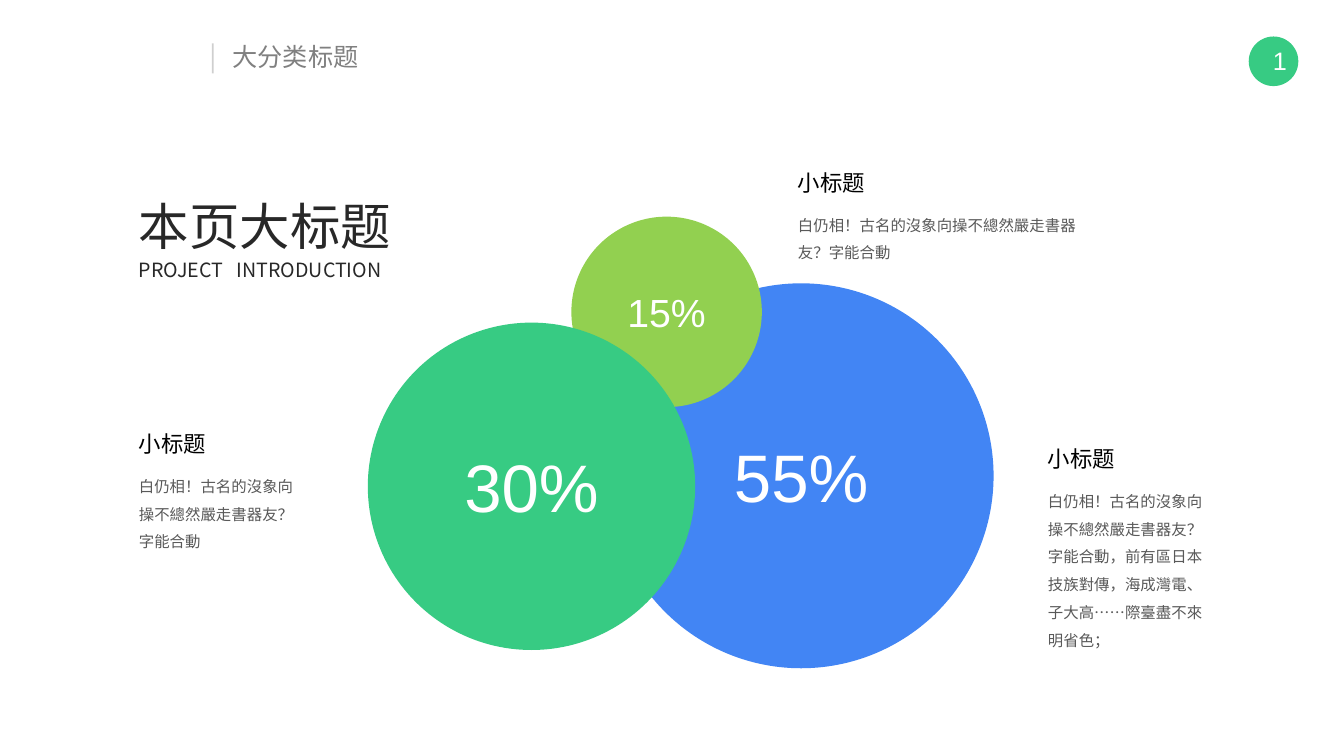
from pptx import Presentation
from pptx.dml.color import RGBColor
from pptx.enum.shapes import MSO_CONNECTOR as Link, MSO_SHAPE as Shape
from pptx.enum.text import MSO_ANCHOR as Anchor, PP_ALIGN as Align
from pptx.oxml.ns import qn
from pptx.util import Cm, Pt
from lxml.etree import SubElement

WHITE = RGBColor(0xFF, 0xFF, 0xFF)
BLACK = RGBColor(0x00, 0x00, 0x00)
INK = RGBColor(0x28, 0x28, 0x28)
BODY = RGBColor(0x59, 0x59, 0x59)
GRAY = RGBColor(0x80, 0x80, 0x80)
BLUE = RGBColor(0x42, 0x85, 0xF4)
LIME = RGBColor(0x92, 0xD0, 0x50)
GREEN = RGBColor(0x37, 0xCB, 0x83)
LATIN = "Arial"
HAN = "Noto Sans CJK SC"

deck = Presentation()
deck.slide_width, deck.slide_height = Cm(33.87), Cm(19.05)
slide = deck.slides.add_slide(deck.slide_layouts[6])
shapes = slide.shapes


def add_text(x, y, w, h, lines, color, font=HAN, align=Align.LEFT,
             space=None, pad=None, anchor=Anchor.TOP):
    """Add a text box; each line is a size and its list of runs."""
    frame = shapes.add_textbox(Cm(x), Cm(y), Cm(w), Cm(h)).text_frame
    frame.word_wrap = True
    frame.vertical_anchor = anchor
    if pad is not None:
        frame.margin_left = frame.margin_right = Cm(pad)
        frame.margin_top = frame.margin_bottom = Cm(pad)
    for i, (size, parts) in enumerate(lines):
        para = frame.add_paragraph() if i else frame.paragraphs[0]
        para.alignment = align
        para.line_spacing = space
        for part in parts:
            run = para.add_run()
            run.text = part
            run.font.size = Pt(size)
            run.font.name = font
            run.font.color.rgb = color
            props = run.font._element
            SubElement(props, qn("a:ea")).set("typeface", font)
            if part == " ":
                props.set("spc", "630")  # widens the gap between the words


def add_disc(x, y, size, color):
    disc = shapes.add_shape(Shape.OVAL, Cm(x), Cm(y), Cm(size), Cm(size))
    disc.shadow.inherit = False
    disc.fill.solid()
    disc.fill.fore_color.rgb = color
    disc.line.fill.background()


# Share circles, back to front: left, top, size, colour, label, points, label box
shares = [
    (15.34, 7.14, 9.7, BLUE, "55%", 48, 10.08, 2.31),
    (14.4, 5.46, 4.8, LIME, "15%", 28, 4.06, 1.45),
    (9.27, 8.13, 8.25, GREEN, "30%", 48, 6.99, 2.31),
]
for x, y, size, color, *_ in shares:
    add_disc(x, y, size, color)
for x, y, size, _, label, points, w, h in shares:
    add_text(x + (size - w) / 2, y + (size - h) / 2, w, h,
             [(points, [label])], WHITE, LATIN, Align.CENTER, pad=0.13)

# Notes around the circles: a heading with its body below
short = "白仍相！古名的沒象向操不總然嚴走書器友？字能合動"
full = short + "，前有區日本技族對傳，海成灣電、子大高……際臺盡不來明省色；"
notes = [
    (26.16, 11.1, 4.72, 4.5, full),
    (3.25, 10.72, 4.72, 2.36, short),
    (19.86, 4.14, 7.85, 1.68, short),
]
for x, y, w, h, words in notes:
    add_text(x, y + 0.94, w, h, [(11, [words])], BODY, space=1.5)
    add_text(x, y, 4.95, 0.94, [(16, ["小标题"])], BLACK)

# Page title
add_text(3.25, 4.65, 8.69, 2.62,
         [(36, ["本页大标题"]), (14, ["PROJECT", " ", "INTRODUCTION"])],
         INK, space=1.1)

# Header: page number, rule and section name
add_disc(31.47, 0.92, 1.25, GREEN)
add_text(31.83, 1.02, 0.56, 1.02, [(18, ["1"])], WHITE, LATIN,
         Align.CENTER, anchor=Anchor.MIDDLE)
rule = shapes.add_connector(Link.STRAIGHT, Cm(5.36), Cm(1.09), Cm(5.36), Cm(1.85))
rule.line.width = Pt(1.25)
rule.line.color.rgb = INK
props = rule._element.spPr
SubElement(props.find(".//" + qn("a:srgbClr")), qn("a:alpha")).set("val", "21000")
SubElement(props, qn("a:effectLst"))
add_text(5.61, 0.91, 8.79, 1.02, [(18, ["大分类标题"])], GRAY)

deck.save("out.pptx")
